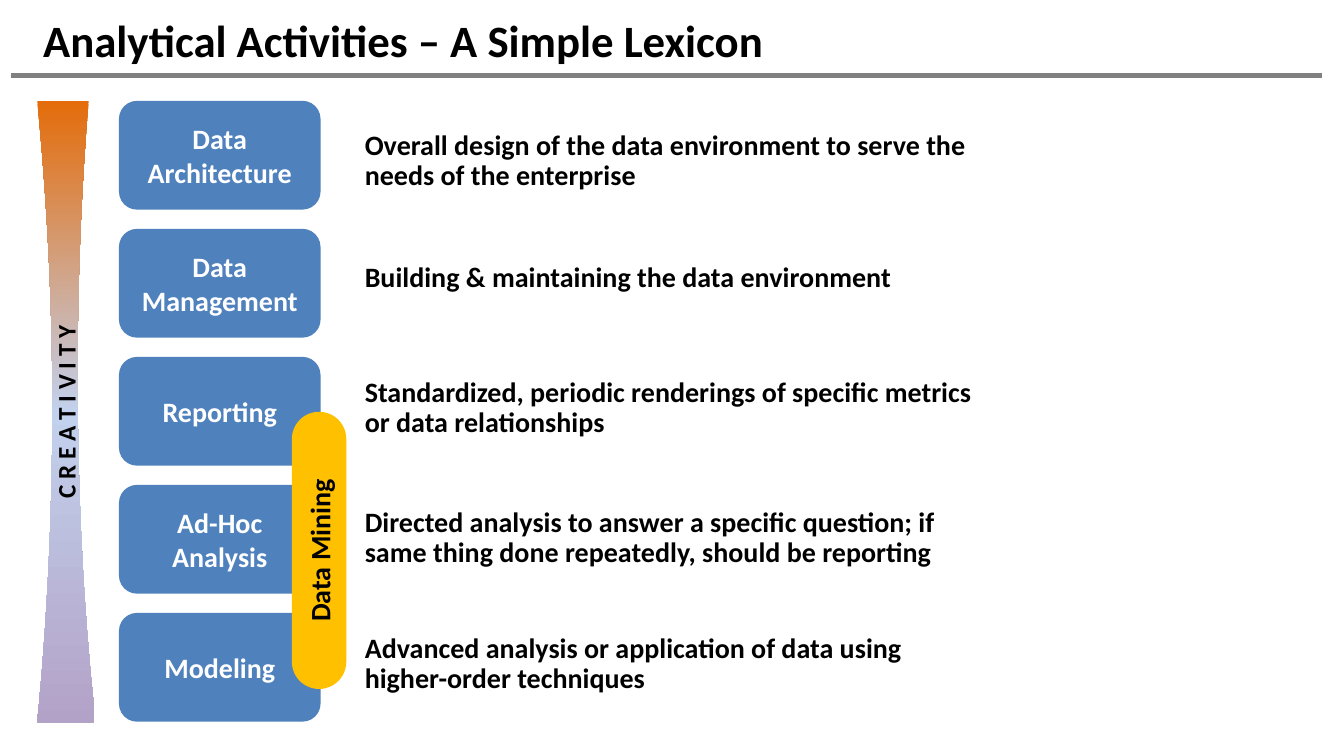
from copy import deepcopy

from pptx import Presentation
from pptx.dml.color import RGBColor
from pptx.enum.shapes import MSO_CONNECTOR, MSO_SHAPE
from pptx.enum.text import MSO_ANCHOR, PP_ALIGN
from pptx.oxml.ns import qn
from pptx.oxml.xmlchemy import OxmlElement
from pptx.util import Inches, Pt

COLORS = {
    "black": "000000", "white": "FFFFFF", "rule": "808080",
    "activity": "4F81BD", "mining": "FFC000",
    "orange": "E46C0A", "pale blue": "C2D1ED", "purple": "B3A2C7",
}


def color(name):
    return RGBColor.from_string(COLORS[name])


def write(box, text, size=20, ink="black", align=PP_ALIGN.CENTER,
          anchor=MSO_ANCHOR.MIDDLE, spacing=None):
    frame = box.text_frame
    frame.word_wrap = True
    frame.vertical_anchor = anchor
    frame.text = text
    for para in frame.paragraphs:
        para.alignment = align
        para.line_spacing = spacing
        for span in para.runs:
            span.font.name = "Calibri"
            span.font.size = Pt(size)
            span.font.bold = True
            span.font.color.rgb = color(ink)


deck = Presentation()
deck.slide_width, deck.slide_height = Inches(13.33), Inches(7.5)
page = deck.slides.add_slide(deck.slide_layouts[6])
shapes = page.shapes

# Title and rule
rule = shapes.add_connector(MSO_CONNECTOR.STRAIGHT, Inches(0.11), Inches(0.75),
                            Inches(13.11), Inches(0.75))
rule.line.color.rgb = color("rule")
rule.line.width = Pt(3)
rule._element.spPr.append(OxmlElement("a:effectLst"))
title = shapes.add_textbox(Inches(0.33), Inches(0.17), Inches(12.78), Inches(0.45))
write(title, "Analytical Activities – A Simple Lexicon", size=32, align=PP_ALIGN.LEFT)

# Activities with their definitions: name, definition, definition top and height
activities = [
    ("Data Architecture",
     "Overall design of the data environment to serve the needs of the enterprise",
     1.25, 0.67),
    ("Data Management", "Building & maintaining the data environment", 2.56, 0.44),
    ("Reporting",
     "Standardized, periodic renderings of specific metrics or data relationships",
     3.7, 0.76),
    ("Ad-Hoc\nAnalysis",
     "Directed analysis to answer a specific question; "
     "if same thing done repeatedly, should be reporting",
     4.99, 0.76),
    ("Modeling",
     "Advanced analysis or application of data using higher-order techniques",
     6.24, 0.76),
]
for row, (name, definition, top, height) in enumerate(activities):
    box = shapes.add_shape(MSO_SHAPE.ROUNDED_RECTANGLE, Inches(1.18),
                           Inches(1 + 1.27 * row), Inches(2), Inches(1.08))
    box.shadow.inherit = False
    box.fill.solid()
    box.fill.fore_color.rgb = color("activity")
    box.line.fill.background()
    write(box, name, ink="white")
    note = shapes.add_textbox(Inches(3.52), Inches(top), Inches(6.33), Inches(height))
    write(note, definition, align=PP_ALIGN.LEFT, anchor=MSO_ANCHOR.TOP, spacing=0.9)

# Creativity band: each curved side is a list of four Bezier control points
sides = [
    [(0.88, 1), (0.81, 1.82), (0.77, 2.75), (0.77, 3.72)],
    [(0.77, 3.72), (0.77, 4.92), (0.83, 6.04), (0.93, 6.99)],
    [(0.37, 7.17), (0.46, 6.25), (0.52, 5.18), (0.52, 4.04)],
    [(0.52, 4.04), (0.52, 2.94), (0.46, 1.9), (0.37, 1)],
]
STEPS = 16
outline = []
for side in sides:
    if side[0] == (0.37, 7.17):
        outline.append((0.93, 7.17))
    for step in range(STEPS + 1):
        t = step / STEPS
        weights = [(1 - t) ** 3, 3 * t * (1 - t) ** 2, 3 * t ** 2 * (1 - t), t ** 3]
        outline.append(tuple(sum(w * point[axis] for w, point in zip(weights, side))
                             for axis in (0, 1)))
builder = shapes.build_freeform(Inches(0.37), Inches(1))
builder.add_line_segments([(Inches(x), Inches(y)) for x, y in outline], close=True)
band = builder.convert_to_shape()
band.shadow.inherit = False
band.line.fill.background()
band.fill.gradient()
band.fill.gradient_angle = 270
stop_list = band._element.spPr.find(qn("a:gradFill")).find(qn("a:gsLst"))
stop_list.insert(1, deepcopy(stop_list[0]))
for stop, place, name in zip(band.fill.gradient_stops, (0, 0.5, 1),
                             ("orange", "pale blue", "purple")):
    stop.position = place
    stop.color.rgb = color(name)
write(band, "C R E A T I V I T Y", size=18)
band.text_frame._txBody.bodyPr.set("vert", "vert270")

# Data mining pill, turned to span the last three activities
pill = shapes.add_shape(MSO_SHAPE.ROUNDED_RECTANGLE, Inches(1.79), Inches(5.19),
                        Inches(2.75), Inches(0.54))
pill.adjustments[0] = 0.5
pill.rotation = 270
pill.shadow.inherit = False
pill.fill.solid()
pill.fill.fore_color.rgb = color("mining")
pill.line.fill.background()
write(pill, "Data Mining")

deck.save("out.pptx")
